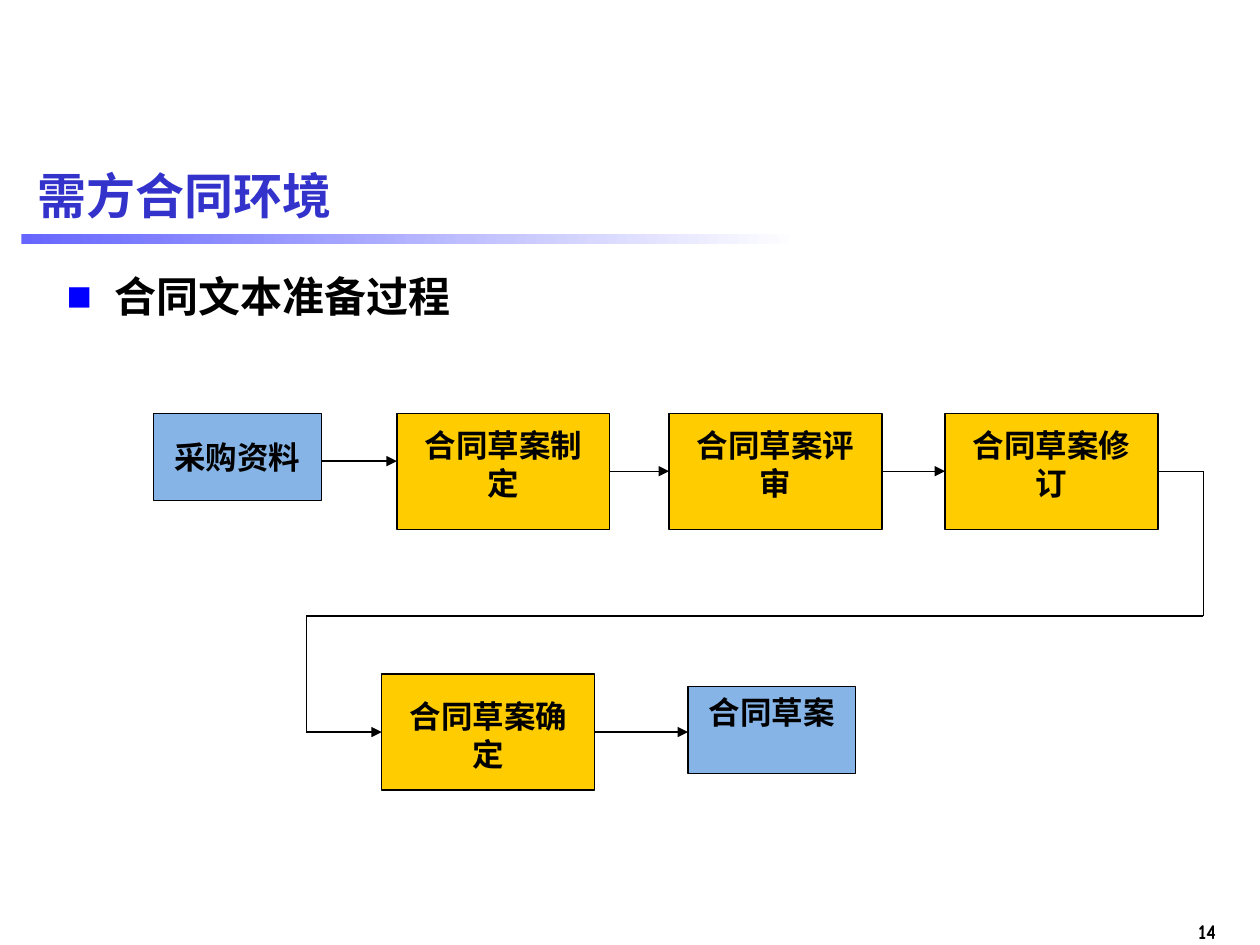
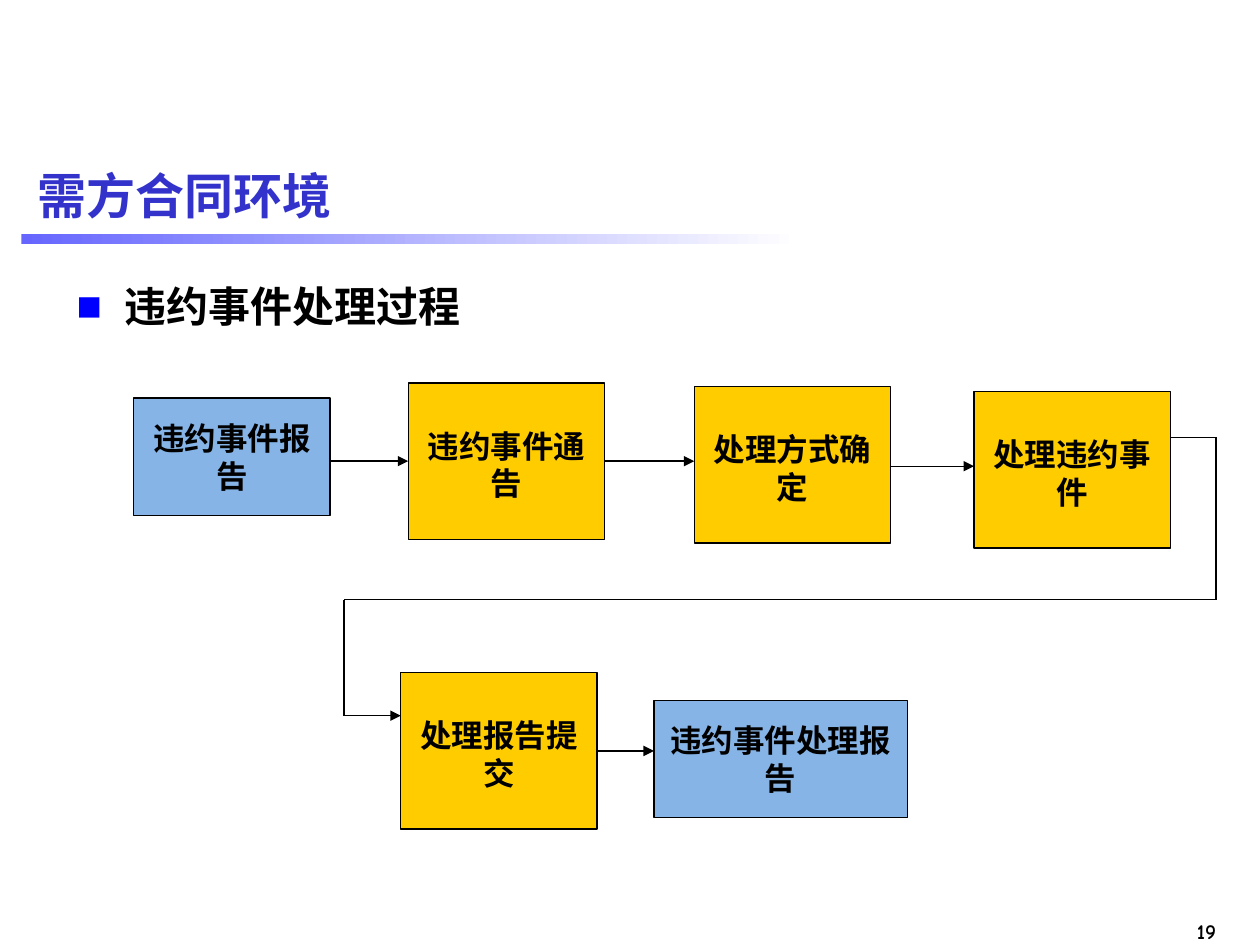
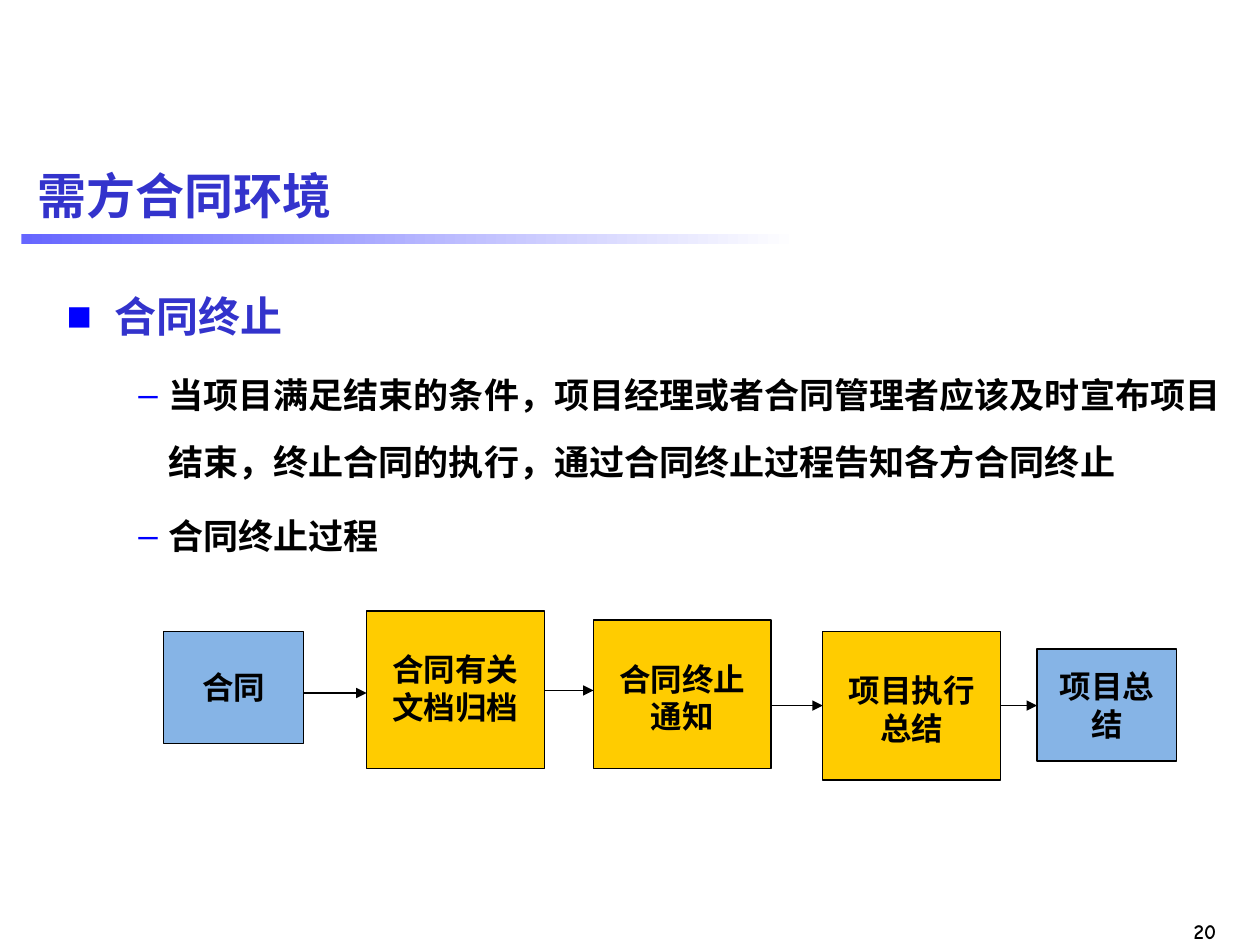
import pptx
import pptx.util
import pptx.dml.color
import pptx.enum.dml
import pptx.enum.lang
import pptx.enum.shapes
import pptx.enum.text
import pptx.oxml
import pptx.oxml.ns

HUE = {"title": "3333CC", "text": "000000", "mark": "0000FF", "bar": "6666FF",
       "page": "FFFFFF", "item": "86B4E6", "step": "FFCC00"}
COLS, ROWS = 100, 75
TITLE = "需方合同环境"
LEVELS = [
    {"mark": "■", "left": 3.8, "hang": 3.8, "size": 24, "before": 0},
    {"mark": "–", "left": 8.1, "hang": 2.4, "size": 20, "before": 4},
]

# PLACEHOLDER
SLIDES = [
    {"page": "14", "body": (4.3, 21), "lines": [(0, "合同文本准备过程", "text", 1)],
     "sizes": {"item": (13.3, 6.9), "step": (16.9, 9.2)},
     "boxes": [("item", "采购资料", 12.2, 32.8, "mid"),
               ("step", "合同草案制定", 31.5, 32.8, "top"),
               ("step", "合同草案评审", 53.1, 32.8, "top"),
               ("step", "合同草案修订", 75, 32.8, "top"),
               ("step", "合同草案确定", 30.3, 53.5, "mid"),
               ("item", "合同草案", 54.6, 54.5, "top")],
     "links": [36.6, 37.4, 37.4, (37.4, 95.5, 48.9, 24.3, 58.1), 58.1]},
    {"page": "19", "body": (5.1, 21.8), "lines": [(0, "违约事件处理过程", "text", 1)],
     "sizes": {"item": (15.6, 9.3), "step": (15.6, 12.4), "wide": (20.1, 9.3)},
     "boxes": [("item", "违约事件报告", 10.6, 31.6, "mid"),
               ("step", "违约事件通告", 32.4, 30.4, "mid"),
               ("step", "处理方式确定", 55.1, 30.7, "mid"),
               ("step", "处理违约事件", 77.3, 31.1, "mid"),
               ("step", "处理报告提交", 31.8, 53.4, "mid"),
               ("wide", "违约事件处理报告", 51.9, 55.6, "mid")],
     "links": [36.6, 36.6, 37, (34.7, 96.5, 47.6, 27.3, 56.8), 59.6]},
    {"page": "20", "body": (4.3, 21),
     "lines": [(0, "合同终止", "title", 1.4),
               (1, "当项目满足结束的条件，项目经理或者合同管理者应该及时宣布项目结束，"
                   "终止合同的执行，通过合同终止过程告知各方合同终止", "text", 1.6),
               (1, "合同终止过程", "text", 1.6)],
     "sizes": {"item": (11.1, 8.9), "step": (14.1, 11.8), "tall": (14.1, 12.5)},
     "boxes": [("item", "合同", 13, 50.1, "mid"),
               ("tall", "合同有关文档归档", 29.1, 48.5, "mid"),
               ("step", "合同终止通知", 47.1, 49.2, "mid"),
               ("step", "项目执行总结", 65.3, 50.1, "mid"),
               ("item", "项目总结", 82.3, 51.5, "mid")],
     "links": [55, 54.8, 56, 56]},
]
FILLS = {"item": "item", "wide": "item", "step": "step", "tall": "step"}
INSETS = {"item": 0.5, "wide": 0.5, "step": 1, "tall": 0.2}
ANCHORS = {"top": pptx.enum.text.MSO_ANCHOR.TOP, "mid": pptx.enum.text.MSO_ANCHOR.MIDDLE}
ALIGN = pptx.enum.text.PP_ALIGN

deck = pptx.Presentation()
deck.slide_width = pptx.util.Inches(10)
deck.slide_height = pptx.util.Inches(7.5)
CELL = deck.slide_width / COLS


def grid(*cells):
    return [round(cell * CELL) for cell in cells]


def color(name):
    return pptx.dml.color.RGBColor.from_string(HUE[name])


def node(home, tag, **attrs):
    part = pptx.oxml.parse_xml(f"<a:{tag} {pptx.oxml.ns.nsdecls('a')}/>")
    for key, value in attrs.items():
        part.set(key, value)
    home.append(part)
    return part


def style(para, size, face, hue="text"):
    font = para.font
    font.size = pptx.util.Pt(size)
    font.bold = True
    font.name = face
    font.color.rgb = color(hue)
    font.language_id = pptx.enum.lang.MSO_LANGUAGE_ID.SIMPLIFIED_CHINESE
    latin = para._p.pPr.find(pptx.oxml.ns.qn("a:defRPr")).find(pptx.oxml.ns.qn("a:latin"))
    east = pptx.oxml.parse_xml(f"<a:ea {pptx.oxml.ns.nsdecls('a')}/>")
    east.set("typeface", "Arial")
    latin.addnext(east)


def label(slide, text, spot, size, face, hue="text", wrap=True):
    frame = slide.shapes.add_textbox(*grid(*spot)).text_frame
    frame.word_wrap = wrap
    para = frame.paragraphs[0]
    para.text = text
    style(para, size, face, hue)
    return frame


def base(slide, page):
    frame = label(slide, page, (92, 72.4, 5.5, 3), 12, "Comic Neue", wrap=False)
    frame.paragraphs[0].alignment = ALIGN.RIGHT
    bar = slide.shapes.add_shape(pptx.enum.shapes.MSO_SHAPE.RECTANGLE,
                                 *grid(1.7, 18.6, 61.7, 0.8))
    bar.shadow.inherit = False
    bar.line.fill.background()
    bar.fill.gradient()
    bar.fill.gradient_angle = 0
    for stop, hue in zip(bar.fill.gradient_stops, ("bar", "page")):
        stop.color.rgb = color(hue)
    frame = label(slide, TITLE, (2, 11.5, 96.1, 7.9), 28, "Arial", "title")
    frame.vertical_anchor = ANCHORS["mid"]


def outline(slide, left, top, lines):
    spot = grid(left, top, 98 - left, ROWS - top)
    frame = slide.shapes.add_textbox(*spot).text_frame
    frame.word_wrap = True
    for place, (depth, text, hue, space) in enumerate(lines):
        para = frame.add_paragraph() if place else frame.paragraphs[0]
        level = LEVELS[depth]
        para.text = text
        para.level = depth
        props = para._p.get_or_add_pPr()
        margin, hang = grid(level["left"], level["hang"])
        props.set("marL", str(margin))
        props.set("indent", str(-hang))
        node(node(props, "buClr"), "srgbClr", val=HUE["mark"])
        node(props, "buFont", typeface="Arial")
        node(props, "buChar", char=level["mark"])
        para.line_spacing = float(space)
        if place:
            para.space_before = pptx.util.Pt(level["before"])
        style(para, level["size"], "Noto Sans CJK SC", hue)


def box(slide, kind, text, left, top, anchor, size):
    shape = slide.shapes.add_shape(pptx.enum.shapes.MSO_SHAPE.RECTANGLE,
                                   *grid(left, top, *size))
    shape.shadow.inherit = False
    shape.fill.solid()
    shape.fill.fore_color.rgb = color(FILLS[kind])
    shape.line.color.rgb = color("text")
    shape.line.width = pptx.util.Pt(0.75)
    frame = shape.text_frame
    frame.word_wrap = True
    frame.margin_top = grid(INSETS[kind])[0]
    frame.vertical_anchor = ANCHORS[anchor]
    para = frame.paragraphs[0]
    para.text = text
    para.alignment = ALIGN.CENTER
    style(para, 18, "Times New Roman")


def route(slide, points):
    for start, end in zip(points, points[1:]):
        line = slide.shapes.add_connector(pptx.enum.shapes.MSO_CONNECTOR.STRAIGHT,
                                          *grid(*start, *end))
        line.line.color.rgb = color("text")
        line.line.width = pptx.util.Pt(0.75)
        if end == points[-1]:
            node(line.line._get_or_add_ln(), "tailEnd", type="triangle")
        node(line._element.spPr, "effectLst")


def flow(slide, boxes, sizes, links):
    for kind, text, left, top, anchor in boxes:
        box(slide, kind, text, left, top, anchor, sizes[kind])
    for link, now, then in zip(links, boxes, boxes[1:]):
        start, end = now[2] + sizes[now[0]][0], then[2]
        if isinstance(link, tuple):
            high, out, mid, back, low = link
            points = [(start, high), (out, high), (out, mid),
                      (back, mid), (back, low), (end, low)]
        else:
            points = [(start, link), (end, link)]
        route(slide, points)


def main():
    for data in SLIDES:
        slide = deck.slides.add_slide(deck.slide_layouts[6])
        base(slide, data["page"])
        outline(slide, *data["body"], data["lines"])
        flow(slide, data["boxes"], data["sizes"], data["links"])
    deck.save("out.pptx")


if __name__ == "__main__":
    main()
